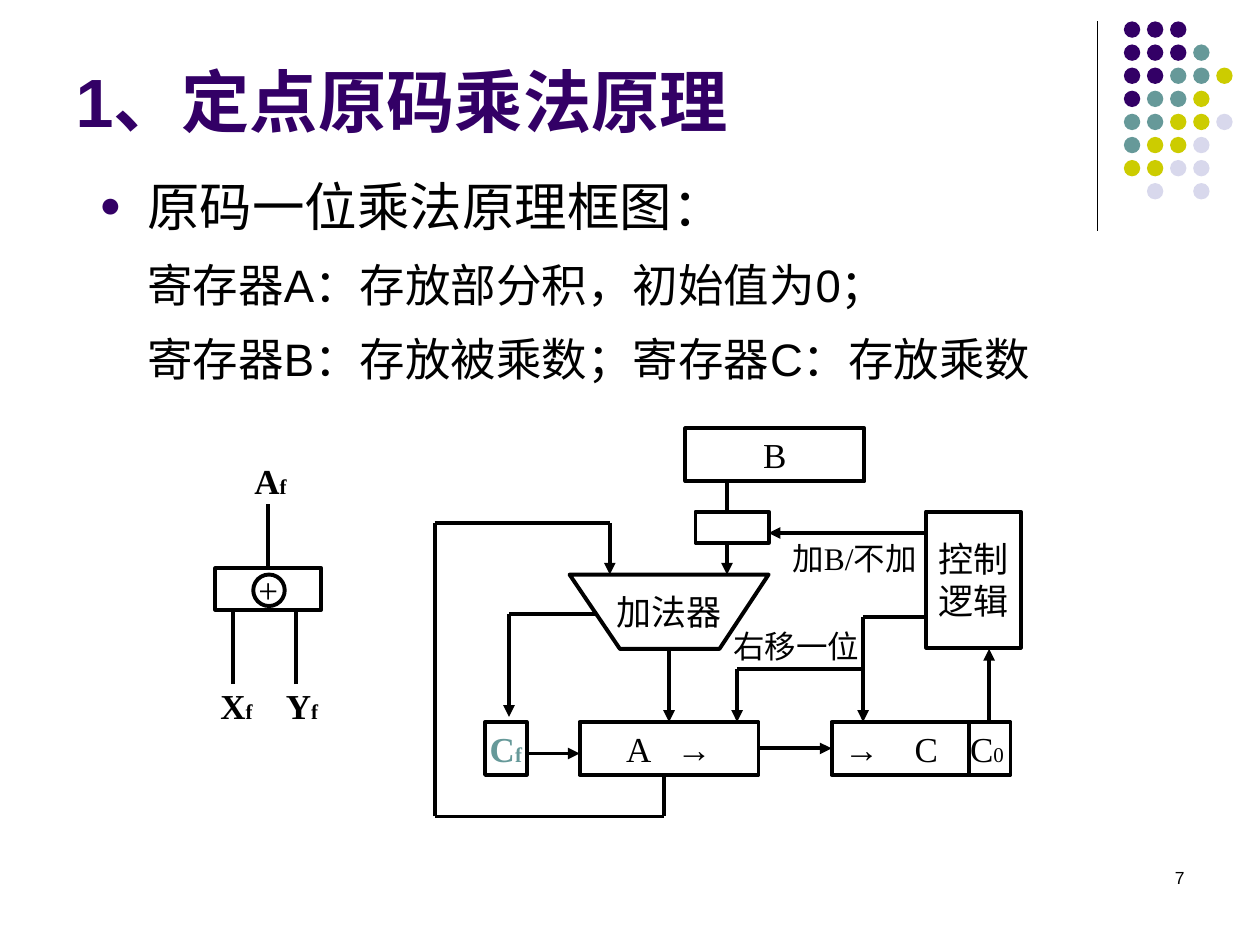
import pptx
import pptx.util
import pptx.dml.color
import pptx.enum.shapes
import pptx.enum.text
import pptx.oxml.ns
from lxml import etree

Inches = pptx.util.Inches
Pt = pptx.util.Pt
Kind = pptx.enum.shapes.MSO_SHAPE
Align = pptx.enum.text.PP_ALIGN
Anchor = pptx.enum.text.MSO_ANCHOR
qn = pptx.oxml.ns.qn

INK = {
    "text": "000000",
    "back": "FFFFFF",
    "plum": "330066",
    "teal": "669999",
    "lime": "CCCC00",
    "mist": "D8D8EC",
}
SANS, SERIF = "Arial", "Times New Roman"


def rgb(name):
    return pptx.dml.color.RGBColor.from_string(INK[name])


def add(node, tag, **attrs):
    return etree.SubElement(node, qn("a:" + tag), attrs)


def write(frame, *paras, font=SERIF, size=20, color="text", bold=False,
          align=Align.LEFT, anchor=Anchor.TOP, wrap=True, pad=(0.1, 0.1),
          tabs=(), bullet=False, level=0, indent=None, spacing=None,
          before=0, more=False):
    """Each paragraph is a string or a list of (text, size) runs."""
    frame.auto_size = pptx.enum.text.MSO_AUTO_SIZE.NONE
    frame.word_wrap = wrap
    frame.vertical_anchor = anchor
    frame.margin_left, frame.margin_right = map(Inches, pad)
    frame.margin_top = frame.margin_bottom = Inches(0.05)
    for i, runs in enumerate(paras):
        para = frame.add_paragraph() if i or more else frame.paragraphs[0]
        para.alignment, para.level = align, level
        props = para._p.get_or_add_pPr()
        if indent:
            props.set("marL", str(Inches(indent[0])))
            props.set("indent", str(Inches(indent[1])))
        if bullet:
            add(add(props, "buClr"), "srgbClr", val=INK["plum"])
            add(props, "buSzPct", val="70000")
            add(props, "buFont", typeface=font)
            add(props, "buChar", char="●")
        if tabs:
            stops = add(props, "tabLst")
            for stop in tabs:
                add(stops, "tab", pos=str(Inches(stop)), algn="l")
        if spacing:
            para.line_spacing = spacing
        para.space_before = Pt(before)
        for text, points in [(runs, size)] if isinstance(runs, str) else runs:
            run = para.add_run()
            run.text = text
            run.font.name, run.font.size = font, Pt(points)
            run.font.bold = bold
            run.font.color.rgb = rgb(color)


class Deck:
    line = 2.25

    def __init__(self):
        self.file = pptx.Presentation()
        self.file.slide_width, self.file.slide_height = Inches(10), Inches(7.5)
        self.slide = self.file.slides.add_slide(self.file.slide_layouts[5])
        self.shapes = self.slide.shapes
        self.slide.background.fill.solid()
        self.slide.background.fill.fore_color.rgb = rgb("back")

    def title(self, text, *box):
        shape = self.shapes.title
        shape.left, shape.top, shape.width, shape.height = map(Inches, box)
        write(shape.text_frame, text, font=SANS, size=39, color="plum",
              bold=True, anchor=Anchor.BOTTOM)

    def label(self, box, *paras, **style):
        frame = self.shapes.add_textbox(*map(Inches, box)).text_frame
        write(frame, *paras, **style)
        return frame

    def paint(self, shape, fill=None, line=True):
        shape.shadow.inherit = False
        if fill:
            shape.fill.solid()
            shape.fill.fore_color.rgb = rgb(fill)
        else:
            shape.fill.background()
        if line:
            shape.line.color.rgb = rgb("text")
            shape.line.width = Pt(self.line)
        else:
            shape.line.fill.background()

    def shape(self, box, *paras, kind=Kind.RECTANGLE, fill=None, line=True, **style):
        shape = self.shapes.add_shape(kind, *map(Inches, box))
        self.paint(shape, fill, line)
        if paras:
            style = {"align": Align.CENTER, "wrap": False, **style}
            write(shape.text_frame, *paras, anchor=Anchor.MIDDLE, **style)
        return shape

    def outline(self, points, text):
        spots = [(Inches(x), Inches(y)) for x, y in points]
        pen = self.shapes.build_freeform(*spots[0])
        pen.add_line_segments(spots[1:], close=True)
        shape = pen.convert_to_shape()
        self.paint(shape)
        write(shape.text_frame, text, align=Align.CENTER,
              anchor=Anchor.MIDDLE, wrap=False)

    def route(self, *points, arrow=False, start=None, end=None, width=None):
        """Straight runs through the points; start and end are (shape, side)."""
        last = len(points) - 2
        for i, (a, b) in enumerate(zip(points, points[1:])):
            wire = self.shapes.add_connector(
                pptx.enum.shapes.MSO_CONNECTOR.STRAIGHT, *map(Inches, a + b))
            wire.line.color.rgb = rgb("text")
            wire.line.width = Pt(width or self.line)
            if arrow and i == last:
                add(wire.line._get_or_add_ln(), "tailEnd", type="triangle")
            add(wire._element.spPr, "effectLst")
            if start and i == 0:
                wire.begin_connect(*start)
            if end and i == last:
                wire.end_connect(*end)


def main():
    deck = Deck()

    # Corner ornament
    deck.route((8.71, 0.17), (8.71, 1.83), width=0.75)
    tones = {"P": "plum", "T": "teal", "Y": "lime", "L": "mist"}
    rows = ["PPP", "PPPT", "PPTTY", "PTTY", "TTYYL", "TYYL", "YYLL", " L L"]
    pitch = 1.1 / 6
    for r, row in enumerate(rows):
        for c, key in enumerate(row):
            if key in tones:
                deck.shape((8.92 + c * pitch, 0.17 + r * pitch, 0.13, 0.13),
                           kind=Kind.OVAL, fill=tones[key], line=False)

    # Title, body and page number
    deck.title("1、定点原码乘法原理", 0.5, 0.17, 9.17, 1)
    body = deck.label((0.69, 1.23, 8.25, 2), "原码一位乘法原理框图：", font=SANS,
                      size=30, bullet=True, indent=(0.38, -0.38), spacing=1.2)
    write(body, "寄存器A：存放部分积，初始值为0；", "寄存器B：存放被乘数；寄存器C：存放乘数",
          font=SANS, size=26, level=1, indent=(0.76, -0.38), spacing=1.2,
          before=5.2, more=True)
    deck.label((7.17, 6.83, 2.33, 0.5), "7", font=SANS, size=10, align=Align.RIGHT)

    # Registers, adder and control
    deck.route((5.77, 3.81), (5.77, 4.56), arrow=True)
    deck.shape((5.44, 3.4, 1.42, 0.42), "B")
    deck.shape((5.52, 4.06, 0.58, 0.25), fill="back")
    deck.outline([(4.52, 4.56), (4.92, 5.15), (5.71, 5.15), (6.1, 4.56)], "加法器")
    deck.shape((7.35, 4.06, 0.75, 1.08), "控制", "逻辑")
    deck.shape((3.85, 5.73, 0.33, 0.42), [("C", 20), ("f", 12)],
               color="teal", bold=True)
    acc = deck.shape((4.6, 5.73, 1.42, 0.42), "A\t→", align=Align.LEFT,
                     wrap=True, pad=(0.37, 0), tabs=[0.4])
    mul = deck.shape((6.6, 5.73, 1.42, 0.42), [("→\tC\tC", 20), ("0", 12)],
                     align=Align.LEFT, wrap=True, pad=(0.1, 0), tabs=[0.56, 1])
    deck.route((7.69, 5.73), (7.69, 6.15))

    # Data and control paths
    deck.route((7.35, 4.23), (6.1, 4.23), arrow=True)
    deck.route((7.85, 5.73), (7.85, 5.15), arrow=True)
    deck.route((7.35, 4.9), (6.85, 4.9), (6.85, 5.73), arrow=True)
    deck.route((6.85, 5.31), (5.85, 5.31), (5.85, 5.73), arrow=True)
    deck.route((5.31, 5.15), (5.31, 5.73), arrow=True, end=(acc, 0))
    deck.route((4.72, 4.87), (4.04, 4.87), (4.04, 5.69), arrow=True)
    deck.route((4.19, 5.98), (4.6, 5.98), arrow=True)
    deck.route((6.02, 5.94), (6.6, 5.94), arrow=True, start=(acc, 3), end=(mul, 1))
    deck.route((5.27, 6.15), (5.27, 6.48), (3.45, 6.48), (3.45, 4.15),
               (4.84, 4.15), (4.84, 4.56), arrow=True)
    deck.label((5.72, 4.93, 1.33, 0.4), "右移一位", size=18)
    deck.label((6.19, 4.23, 1.33, 0.4), "加B/不加", size=18)

    # Sign logic
    gate = deck.shape((1.71, 4.51, 0.84, 0.33), "+")
    deck.shape((2.01, 4.56, 0.25, 0.25), kind=Kind.OVAL)
    deck.route((2.13, 4.51), (2.13, 4), start=(gate, 0))
    for x in (1.85, 2.35):
        deck.route((x, 5.43), (x, 4.85))
    for name, x, y in (("A", 1.92, 3.6), ("X", 1.65, 5.38), ("Y", 2.17, 5.38)):
        deck.label((x, y, 0.6, 0.43), [(name, 20), ("f", 12)], bold=True)

    deck.file.save("out.pptx")


if __name__ == "__main__":
    main()
